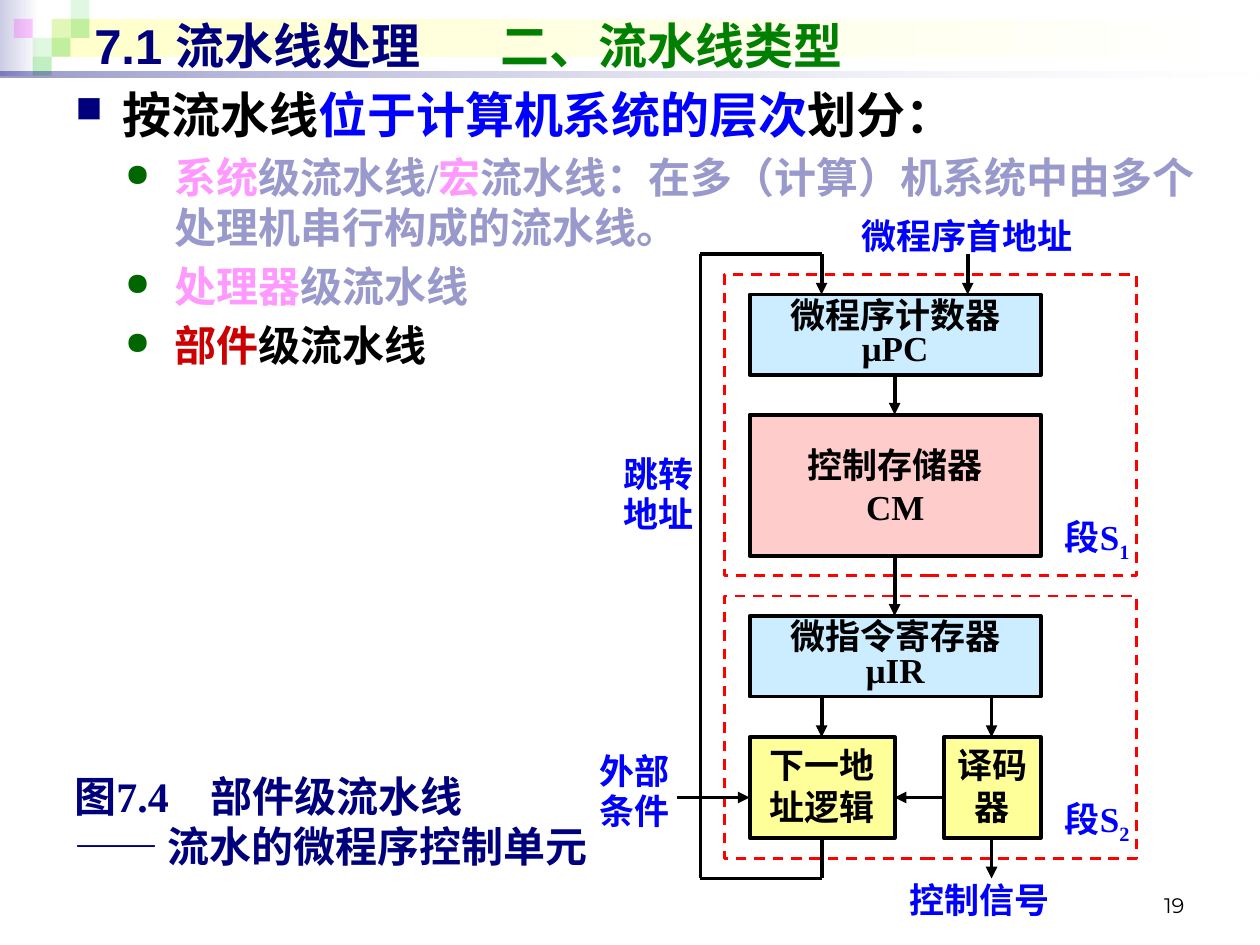
import pptx
import pptx.util
import pptx.dml.color
import pptx.enum.dml
import pptx.enum.shapes
import pptx.enum.text
import pptx.oxml
import pptx.oxml.ns

Pt = pptx.util.Pt
RGB = pptx.dml.color.RGBColor
Align = pptx.enum.text.PP_ALIGN
Anchor = pptx.enum.text.MSO_ANCHOR
Fit = pptx.enum.text.MSO_AUTO_SIZE

BLACK = RGB(0, 0, 0)
WHITE = RGB(0xFF, 0xFF, 0xFF)
NAVY = RGB(0, 0, 0x7D)
BLUE = RGB(0, 0, 0xFF)
RED = RGB(0xFF, 0, 0)
CRIMSON = RGB(0xCC, 0, 0)
GREEN = RGB(0, 0x80, 0)
FOREST = RGB(0, 0x66, 0)
LIME = RGB(0x33, 0xCC, 0x33)
PURPLE = RGB(0xFF, 0, 0xFF)
PINK = RGB(0xFF, 0x99, 0xFF)
LILAC = RGB(0x99, 0x99, 0xCC)
MIST = RGB(0xCC, 0xCC, 0xE6)
CREAM = RGB(0xFF, 0xFF, 0xCC)
SKY = RGB(0xCC, 0xEC, 0xFF)
ROSE = RGB(0xFF, 0xCC, 0xCC)
LEMON = RGB(0xFF, 0xFF, 0x99)

SERIF = "Times New Roman"


def put(obj, vals):
    for key, val in vals.items():
        setattr(obj, key, val)


def node(home, tag, **vals):
    item = pptx.oxml.parse_xml(f"<a:{tag} {pptx.oxml.ns.nsdecls('a')}/>")
    for key, val in vals.items():
        item.set(key, str(val))
    home.append(item)
    return item


def fade(home, alphas):
    for clr, part in zip(home.iter(pptx.oxml.ns.qn("a:srgbClr")), alphas):
        node(clr, "alpha", val=part * 1000)


class Page:
    """Holds the text style and the slide being drawn."""

    def __init__(self, deck):
        self.slide = deck.slides.add_slide(deck.slide_layouts[6])
        self.shapes = self.slide.shapes
        self.font = {"name": SERIF, "size": Pt(20), "bold": True}

    def rect(self, x, y, w, h):
        box = self.shapes.add_shape(pptx.enum.shapes.MSO_SHAPE.RECTANGLE,
                                    Pt(x), Pt(y), Pt(w), Pt(h))
        box.shadow.inherit = False
        return box

    def tile(self, x, y, w, h, color, alpha):
        box = self.rect(x, y, w, h)
        box.line.fill.background()
        box.fill.solid()
        box.fill.fore_color.rgb = color
        fade(box._element.spPr, [alpha])

    def band(self, x, y, w, h, color, alphas=()):
        box = self.rect(x, y, w, h)
        box.line.fill.background()
        box.fill.gradient()
        box.fill.gradient_angle = 0
        for i, (stop, tone) in enumerate(zip(box.fill.gradient_stops, (color, WHITE))):
            stop.position = i
            stop.color.rgb = tone
        fade(box._element.spPr, alphas)

    def block(self, x, y, w, h, fill, rows, anchor=Anchor.MIDDLE, space=1.0, wrap=True):
        box = self.rect(x, y, w, h)
        box.fill.solid()
        box.fill.fore_color.rgb = fill
        box.line.color.rgb = BLACK
        box.line.width = Pt(2.25)
        put(box.text_frame, {"word_wrap": wrap, "vertical_anchor": anchor})
        self.words(box.text_frame, [[(row, BLACK)] for row in rows],
                   {"alignment": Align.CENTER, "line_spacing": space})

    def frame(self, x, y, w, h):
        box = self.rect(x, y, w, h)
        box.fill.background()
        box.line.color.rgb = RED
        put(box.line, {"width": Pt(1.5),
                       "dash_style": pptx.enum.dml.MSO_LINE.DASH})

    def text(self, x, y, w, h, paras, form=None, font=None, **opts):
        box = self.shapes.add_textbox(Pt(x), Pt(y), Pt(w), Pt(h))
        put(box.text_frame, {"word_wrap": True, **opts})
        self.words(box.text_frame, paras, form or {}, font)
        return box.text_frame.paragraphs

    def label(self, x, y, w, h, paras, form=None, font=None):
        bare = {f"margin_{side}": 0 for side in ("left", "top", "right", "bottom")}
        return self.text(x, y, w, h, paras, form, font,
                         auto_size=Fit.SHAPE_TO_FIT_TEXT, **bare)

    def words(self, frame, paras, form, font=None):
        for i, runs in enumerate(paras):
            para = frame.paragraphs[0] if i == 0 else frame.add_paragraph()
            put(para, form)
            for words, color, *base in runs:
                run = para.add_run()
                run.text = words
                put(run.font, {**self.font, **(font or {})})
                run.font.color.rgb = color
                if base:
                    run.font._element.set("baseline", str(base[0] * 1000))

    def bullet(self, para, mark, color, left, hang):
        props = para._p.get_or_add_pPr()
        props.set("marL", str(Pt(left)))
        props.set("indent", str(Pt(-hang)))
        node(node(props, "buClr"), "srgbClr", val=color)
        node(props, "buSzPct", val=75000)
        node(props, "buChar", char=mark)

    def tab(self, para, pos):
        node(node(para._p.get_or_add_pPr(), "tabLst"), "tab", pos=Pt(pos), algn="l")

    def line(self, x1, y1, x2, y2, arrow=True):
        link = self.shapes.add_connector(pptx.enum.shapes.MSO_CONNECTOR.STRAIGHT,
                                         Pt(x1), Pt(y1), Pt(x2), Pt(y2))
        link.line.color.rgb = BLACK
        link.line.width = Pt(2.25)
        if arrow:
            node(link.line._get_or_add_ln(), "tailEnd", type="triangle")
        node(link._element.spPr, "effectLst")


def main():
    deck = pptx.Presentation()
    put(deck, {"slide_width": Pt(720), "slide_height": Pt(540)})
    page = Page(deck)

    # Header bands and mosaic
    page.band(0, 0, 22.3, 43.2, MIST)
    page.band(29.5, 10.8, 687.6, 21.6, CREAM)
    unit = 10.8
    for col, row, color, alpha in ((2, 1, LIME, 15), (3, 0, LIME, 15), (3, 1, LIME, 30),
                                   (1, 2, LIME, 15), (0, 1, PURPLE, 20),
                                   (2, 2, LIME, 30), (1, 3, LIME, 30)):
        page.tile(7.9 + col * unit, row * unit, unit, unit, color, alpha)
    page.band(0, 41, 720, 3.6, NAVY, (40, 10))

    # Page number and title
    page.text(516.2, 491.8, 167.8, 36, [[("19", BLACK)]], {"alignment": Align.RIGHT},
              {"name": "Montserrat", "size": Pt(12), "bold": False},
              vertical_anchor=Anchor.BOTTOM)
    title = page.text(46.8, 3.6, 664.6, 44.6,
                      [[("7.1 流水线处理\t", NAVY), ("二、流水线类型", GREEN)]],
                      font={"name": "Arial", "size": Pt(28)},
                      vertical_anchor=Anchor.MIDDLE)
    page.tab(title[0], 232)

    # Bulleted list
    head, *rest = page.text(36, 44.6, 675.4, 486, [
        [("按流水线", BLACK), ("位于计算机系统的层次", BLUE), ("划分：", BLACK)],
        [("系统", PINK), ("级流水线/", LILAC), ("宏", PINK),
         ("流水线：在多（计算）机系统中由多个处理机串行构成的流水线。", LILAC)],
        [("处理器", PINK), ("级流水线", LILAC)],
        [("部件", CRIMSON), ("级流水线", BLACK)]], font={"size": Pt(24)})
    page.bullet(head, "■", NAVY, 27, 27)
    for run in head.runs:
        run.font.size = Pt(28)
    for para in rest:
        page.bullet(para, "●", FOREST, 56.7, 28.3)
        para.space_before = Pt(4.8)

    # Stage frames
    page.frame(414, 157, 235.4, 172)
    page.frame(414, 340.6, 235.4, 149.8)

    # Units
    left, wide = 428.4, 166.3
    page.block(left, 168.3, wide, 46, SKY, ["微程序计数器", "μPC"], space=0.8)
    page.block(left, 237, wide, 80.6, ROSE, ["控制存储器", "CM"])
    page.block(left, 352, wide, 46, SKY, ["微指令寄存器", "μIR"], space=0.8)
    page.block(left, 421.2, 82.8, 57.6, LEMON, ["下一地址逻辑"], Anchor.TOP)
    page.block(539.3, 421.2, 55.4, 57.6, LEMON, ["译码", "器"], Anchor.TOP, wrap=False)

    # Links between units
    loop, next_x, mid, code_x = 400.3, 469.5, 511.2, 566.6
    top, base, side = 145.4, 502, 455.7
    for x, start, end in ((mid, 214.3, 237), (553, top, 168.3), (next_x, top, 168.3),
                          (mid, 317.6, 352), (next_x, 398, 421.2),
                          (code_x, 398, 421.2), (code_x, 478.8, base)):
        page.line(x, start, x, end)
    page.line(386.6, side, left, side)
    page.line(539.3, side, mid, side)

    # Jump route back to the counter
    route = [(next_x, 478.8), (next_x, base), (loop, base), (loop, top), (next_x, top)]
    for start, end in zip(route, route[1:]):
        page.line(*start, *end, arrow=False)

    # Labels
    for x, y, w, h, rows in ((492.5, 122.4, 134.6, 23.8, ["微程序首地址"]),
                             (356.4, 260, 49.7, 46.8, ["跳转", "地址"]),
                             (342.7, 429.8, 47.5, 46.8, ["外部", "条件"]),
                             (519.8, 501.8, 92.2, 23.8, ["控制信号"])):
        page.label(x, y, w, h, [[(row, BLUE)] for row in rows],
                   {"line_spacing": 0.96} if len(rows) > 1 else None)
    for y, num in ((294.5, "1"), (455.8, "2")):
        page.label(608.4, y, 49, 23.8, [[("段S", BLUE), (num, BLUE, -25)]])

    # Caption
    note = page.label(42.5, 440, 317.5, 58.3, [[("图7.4\t部件级流水线", NAVY)],
                                               [("—— 流水的微程序控制单元", NAVY)]],
                      font={"size": Pt(24)})
    page.tab(note[0], 78)

    deck.save("out.pptx")


if __name__ == "__main__":
    main()
